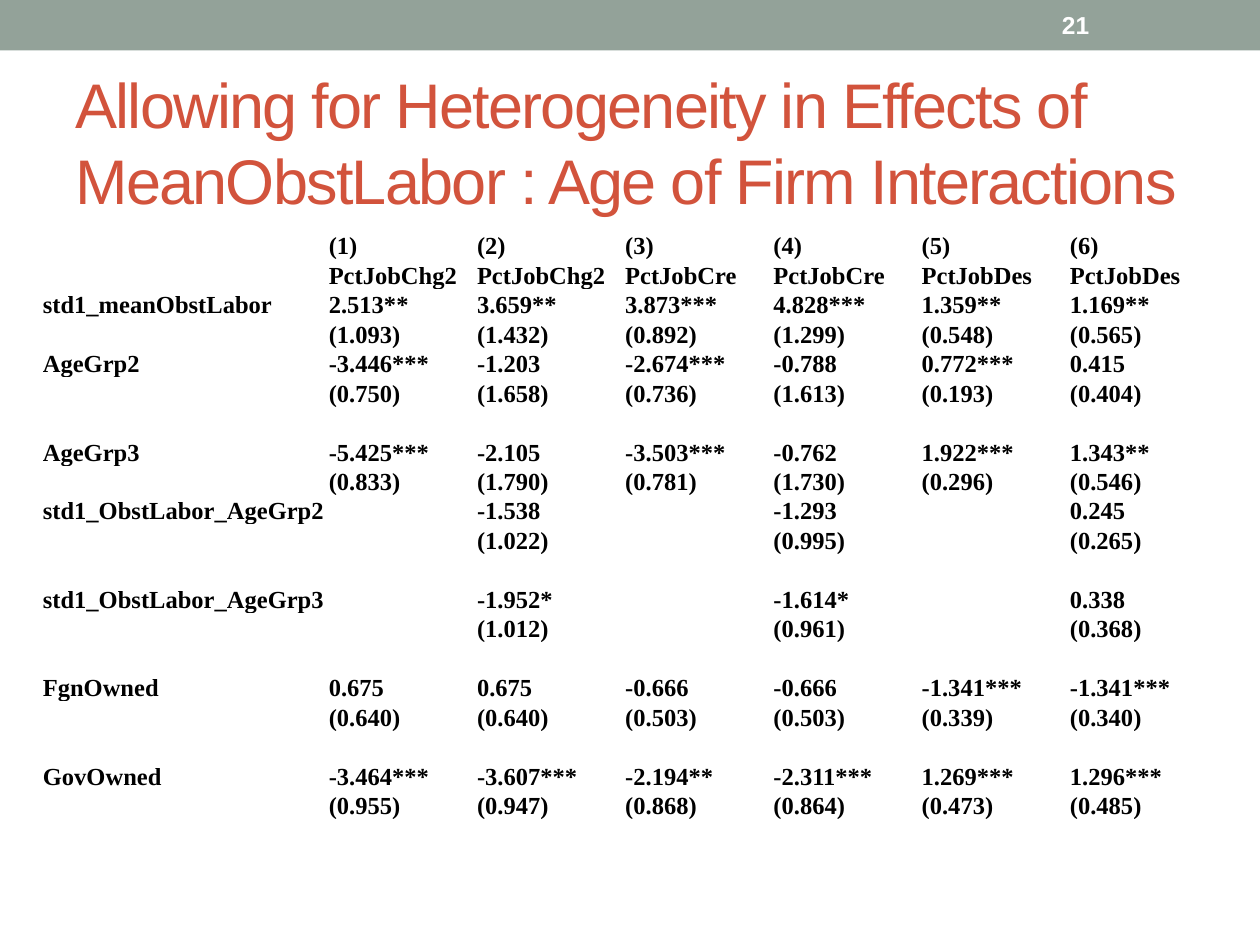
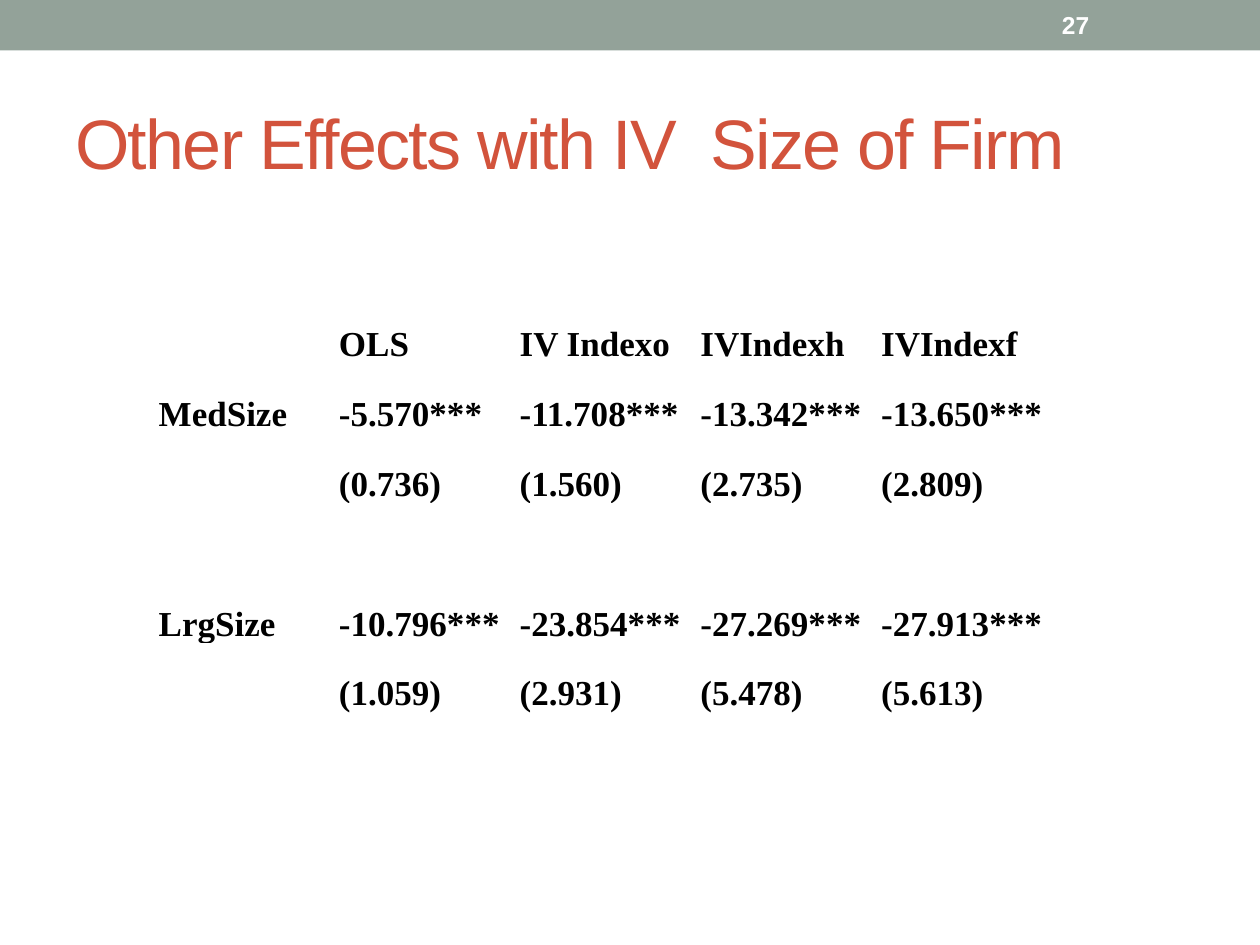
"""Build two slides of regression tables on firm age and firm size."""
from dataclasses import dataclass

from lxml import etree
from pptx import Presentation
from pptx.dml.color import RGBColor
from pptx.enum import shapes, text
from pptx.oxml import ns
from pptx.util import Inches, Pt


@dataclass(frozen=True)
class Theme:
    band: str = "93A299"
    accent: str = "D2533C"
    ink: str = "000000"
    light: str = "FFFFFF"
    heading_font: str = "Arial"
    table_font: str = "Times New Roman"
    number_size: int = 14
    tracking: int = -100


THEME = Theme()
BAND_BOX = (0, 0, 10, 0.4)
TITLE_BOX = (0.5, 0.58, 9, 1.08)
NUMBER_BOX = (8.33, 0.02, 1.17, 0.36)
CELL_MARGINS = {"margin_left": 0.01, "margin_right": 0.01, "margin_top": 0, "margin_bottom": 0}
GAP = ("", ())

SLIDES = [
    {
        "title": "Allowing for Heterogeneity in Effects of MeanObstLabor : Age of Firm Interactions",
        "title_size": 36,
        "number": "21",
        "box": (0.33, 1.83, 9.33, 4.73),
        "label_width": 2.27,
        "table_size": 14,
        "rows": [
            ("", ("(1)", "(2)", "(3)", "(4)", "(5)", "(6)")),
            ("", ("PctJobChg2", "PctJobChg2", "PctJobCre", "PctJobCre", "PctJobDes", "PctJobDes")),
            ("std1_meanObstLabor", ("2.513**", "3.659**", "3.873***", "4.828***", "1.359**", "1.169**")),
            ("", ("(1.093)", "(1.432)", "(0.892)", "(1.299)", "(0.548)", "(0.565)")),
            ("AgeGrp2", ("-3.446***", "-1.203", "-2.674***", "-0.788", "0.772***", "0.415")),
            ("", ("(0.750)", "(1.658)", "(0.736)", "(1.613)", "(0.193)", "(0.404)")),
            GAP,
            ("AgeGrp3", ("-5.425***", "-2.105", "-3.503***", "-0.762", "1.922***", "1.343**")),
            ("", ("(0.833)", "(1.790)", "(0.781)", "(1.730)", "(0.296)", "(0.546)")),
            ("std1_ObstLabor_AgeGrp2", ("", "-1.538", "", "-1.293", "", "0.245")),
            ("", ("", "(1.022)", "", "(0.995)", "", "(0.265)")),
            GAP,
            ("std1_ObstLabor_AgeGrp3", ("", "-1.952*", "", "-1.614*", "", "0.338")),
            ("", ("", "(1.012)", "", "(0.961)", "", "(0.368)")),
            GAP,
            ("FgnOwned", ("0.675", "0.675", "-0.666", "-0.666", "-1.341***", "-1.341***")),
            ("", ("(0.640)", "(0.640)", "(0.503)", "(0.503)", "(0.339)", "(0.340)")),
            GAP,
            ("GovOwned", ("-3.464***", "-3.607***", "-2.194**", "-2.311***", "1.269***", "1.296***")),
            ("", ("(0.955)", "(0.947)", "(0.868)", "(0.864)", "(0.473)", "(0.485)")),
            GAP,
        ],
    },
    {
        "title": "Other Effects with IV  Size of Firm",
        "title_size": 40,
        "number": "27",
        "box": (1.25, 2.33, 7.17, 3.89),
        "label_width": 1.43,
        "table_size": 20,
        "rows": [
            ("", ("OLS", "IV Indexo", "IVIndexh", "IVIndexf")),
            ("MedSize", ("-5.570***", "-11.708***", "-13.342***", "-13.650***")),
            ("", ("(0.736)", "(1.560)", "(2.735)", "(2.809)")),
            GAP,
            ("LrgSize", ("-10.796***", "-23.854***", "-27.269***", "-27.913***")),
            ("", ("(1.059)", "(2.931)", "(5.478)", "(5.613)")),
            GAP,
        ],
    },
]


def apply(target, values):
    for name, value in values.items():
        setattr(target, name, value)


def write(paragraph, words, font, size, color, bold=False):
    run = paragraph.add_run()
    run.text = words
    apply(run.font, {"name": font, "size": Pt(size), "bold": bold})
    run.font.color.rgb = RGBColor.from_string(color)
    return run


def add_label(slide, box, words, size, color, bold=False):
    frame = slide.shapes.add_textbox(*map(Inches, box)).text_frame
    apply(frame, {"word_wrap": True, "vertical_anchor": text.MSO_ANCHOR.MIDDLE})
    return write(frame.paragraphs[0], words, THEME.heading_font, size, color, bold)


def add_band(slide):
    band = slide.shapes.add_shape(shapes.MSO_SHAPE.RECTANGLE, *map(Inches, BAND_BOX))
    band.shadow.inherit = False
    band.fill.solid()
    band.fill.fore_color.rgb = RGBColor.from_string(THEME.band)
    band.line.fill.background()


def fill_cell(cell, words, size):
    cell.fill.background()
    apply(cell, {name: Inches(margin) for name, margin in CELL_MARGINS.items()})
    cell.vertical_anchor = text.MSO_ANCHOR.BOTTOM
    paragraph = cell.text_frame.paragraphs[0]
    if words:
        write(paragraph, words, THEME.table_font, size, THEME.ink, True)
    else:
        end = etree.SubElement(paragraph._p, ns.qn("a:endParaRPr"), sz=str(size * 100))
        etree.SubElement(end, ns.qn("a:latin"), typeface=THEME.table_font)


def add_results(slide, content):
    rows, label_width = content["rows"], content["label_width"]
    left, top, width, height = content["box"]
    value_count = len(rows[0][1])
    table = slide.shapes.add_table(
        len(rows), value_count + 1, *map(Inches, content["box"])).table
    apply(table, {"first_row": False, "horz_banding": False})
    widths = [label_width] + [(width - label_width) / value_count] * value_count
    for column, column_width in zip(table.columns, widths):
        column.width = Inches(column_width)
    for row, (label, values) in zip(table.rows, rows):
        row.height = Inches(height / len(rows))
        for cell, words in zip(row.cells, (label, *(values or [""] * value_count))):
            fill_cell(cell, words, content["table_size"])


def build_slide(presentation, content):
    slide = presentation.slides.add_slide(presentation.slide_layouts[6])
    add_band(slide)
    title = add_label(slide, TITLE_BOX, content["title"], content["title_size"], THEME.accent)
    title.font._element.set("spc", str(THEME.tracking))
    add_results(slide, content)
    add_label(slide, NUMBER_BOX, content["number"], THEME.number_size, THEME.light, True)


presentation = Presentation()
apply(presentation, {"slide_width": Inches(10), "slide_height": Inches(7.5)})
for content in SLIDES:
    build_slide(presentation, content)
presentation.save("out.pptx")
